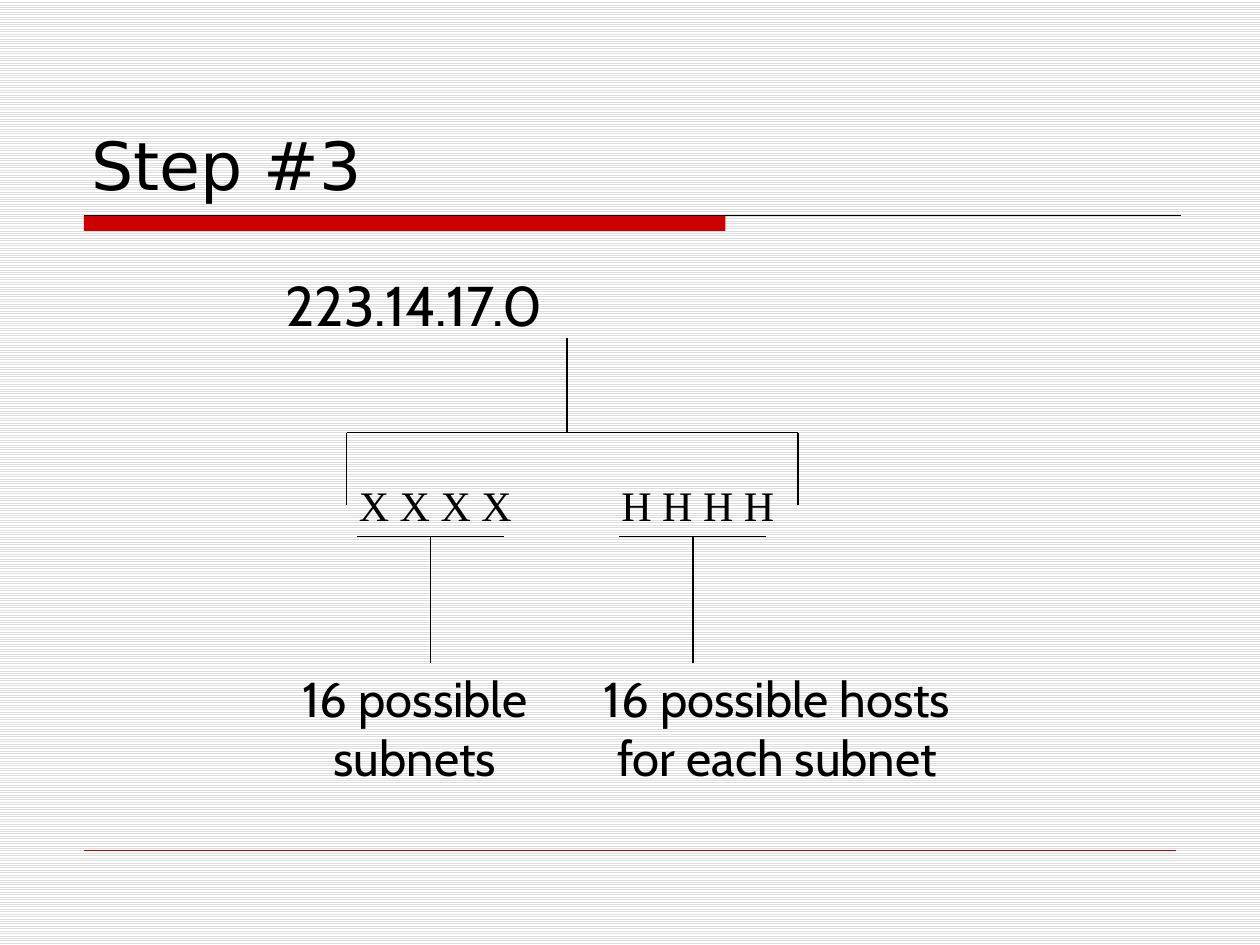
from lxml.etree import SubElement
from pptx import Presentation
from pptx.dml.color import RGBColor
from pptx.enum.dml import MSO_PATTERN
from pptx.enum.shapes import MSO_CONNECTOR, MSO_SHAPE
from pptx.enum.text import MSO_ANCHOR, PP_ALIGN
from pptx.oxml.ns import qn
from pptx.util import Inches, Pt

BLACK = RGBColor(0x00, 0x00, 0x00)
WHITE = RGBColor(0xFF, 0xFF, 0xFF)
STRIPE = RGBColor(0xDD, 0xDD, 0xDD)
RED = RGBColor(0xCC, 0x00, 0x00)


class SlideBuilder:
    """Draws styled elements on a grid of twelve columns and rows to the inch."""

    unit = Inches(1) / 12
    body_font = "Cabin"
    title_font = "DejaVu Sans"
    bit_font = "Times New Roman"

    def __init__(self, slide):
        self.slide = slide

    def grid(self, *cells):
        return [round(cell * self.unit) for cell in cells]

    def striped_background(self):
        fill = self.slide.background.fill
        fill.patterned()
        fill.pattern = MSO_PATTERN.LIGHT_HORIZONTAL
        fill.fore_color.rgb = STRIPE
        fill.back_color.rgb = WHITE

    def bar(self, *area):
        shape = self.slide.shapes.add_shape(MSO_SHAPE.RECTANGLE, *self.grid(*area))
        shape.shadow.inherit = False
        shape.fill.solid()
        shape.fill.fore_color.rgb = RED
        shape.line.fill.background()

    def line(self, *ends, color=BLACK, width=0.75):
        connector = self.slide.shapes.add_connector(MSO_CONNECTOR.STRAIGHT, *self.grid(*ends))
        connector.line.color.rgb = color
        connector.line.width = Pt(width)
        SubElement(connector._element.spPr, qn("a:effectLst"))

    def text(self, words, area, size, font=body_font, align=PP_ALIGN.LEFT, anchor=MSO_ANCHOR.TOP):
        box = self.slide.shapes.add_textbox(*self.grid(*area))
        frame = box.text_frame
        frame.word_wrap = True
        frame.vertical_anchor = anchor
        frame.text = words
        para = frame.paragraphs[0]
        para.alignment = align
        span = para.runs[0]
        span.font.name = font
        span.font.size = Pt(size)
        span.font.color.rgb = BLACK

    def branch(self, bits, bits_area, underline, caption, caption_area):
        left, right = underline
        middle = (left + right) / 2
        self.text(bits, bits_area, 24, self.bit_font)
        self.line(left, 51.1, right, 51.1)
        self.line(middle, 51.1, middle, 63.1)
        self.text(caption, caption_area, 28, align=PP_ALIGN.CENTER)


def main():
    deck = Presentation()
    deck.slide_width, deck.slide_height = Inches(10), Inches(7.5)
    page = SlideBuilder(deck.slides.add_slide(deck.slide_layouts[6]))

    page.striped_background()
    page.bar(8, 20.5, 61.1, 1.5)
    page.line(8, 20.5, 112.5, 20.5)
    page.line(8, 81, 112, 81, color=RED, width=0.25)
    page.text("Step #3", (7.5, 4, 105, 16), 38, page.title_font, anchor=MSO_ANCHOR.BOTTOM)

    page.text("223.14.17.0", (26, 25.2, 31, 7.6), 32)
    page.line(54, 32.2, 54, 41.2)
    page.line(33, 41.2, 76, 41.2)
    for column in (33, 76):
        page.line(column, 41.2, column, 48.1)

    page.branch("X X X X", (33, 45.1, 20, 6), (34, 48),
                "16 possible subnets", (26, 63.1, 27, 12.4))
    page.branch("H H H H", (58, 45.1, 18, 6), (59, 73),
                "16 possible hosts for each subnet", (56, 63.1, 36, 18))

    deck.save("out.pptx")


if __name__ == "__main__":
    main()
